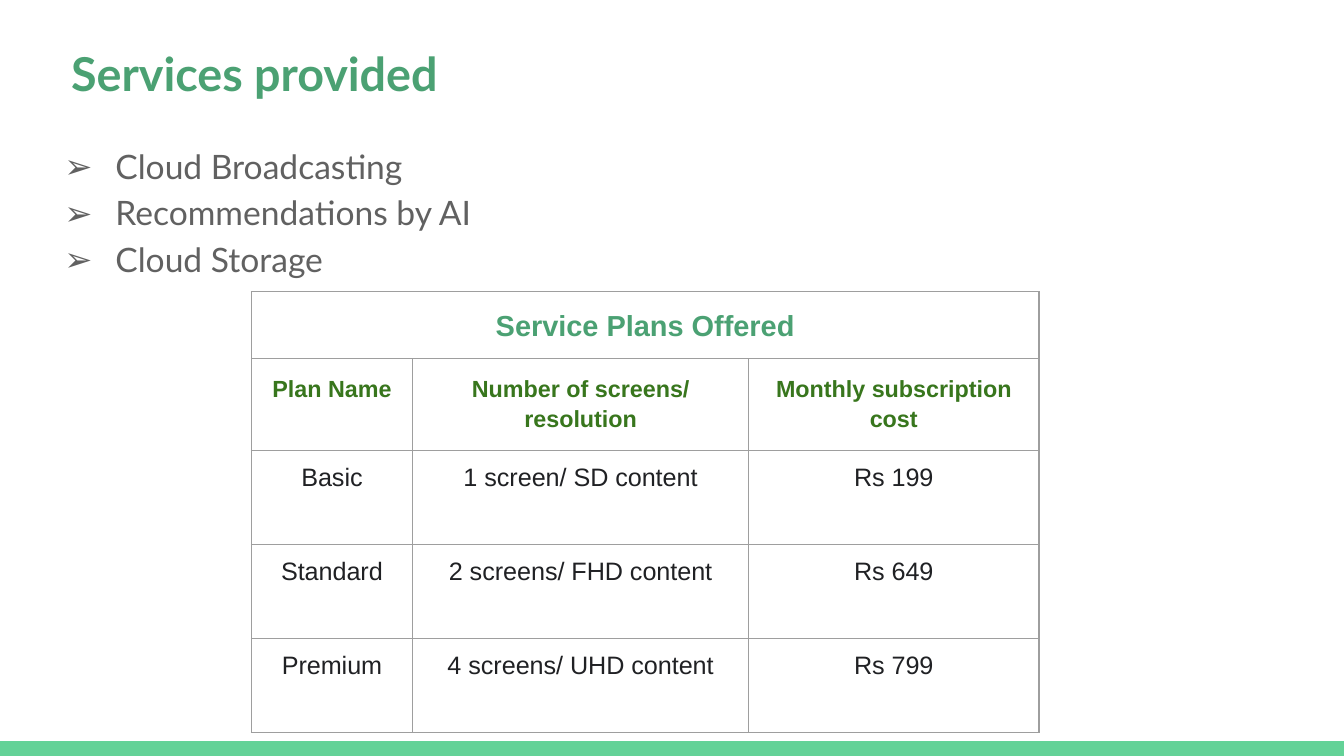
"""Build the slide of services and subscription plans."""
from lxml import etree
from pptx import Presentation, util as u
from pptx.dml.color import RGBColor
from pptx.enum import shapes, text
from pptx.oxml import ns

TITLE = "Services provided"
SERVICES = ["Cloud Broadcasting", "Recommendations by AI", "Cloud Storage"]
PLANS = [
    ["Service Plans Offered", "", ""],
    ["Plan Name", "Number of screens/ resolution", "Monthly subscription cost"],
    ["Basic", "1 screen/ SD content", "Rs 199"],
    ["Standard", "2 screens/ FHD content", "Rs 649"],
    ["Premium", "4 screens/ UHD content", "Rs 799"],
]
COLUMN_WIDTHS = [1.2, 2.5, 2.16]
ROW_HEIGHTS = [0.5, 0.67, 0.7, 0.7, 0.7]
SLIDE_WIDTH = u.Inches(10)
SLIDE_HEIGHT = SLIDE_WIDTH * 9 // 16
THEME = {
    "bar": "63D297",
    "border": "9E9E9E",
    "title": {"name": "Lato", "size": 25, "color": "4BA173", "bold": True},
    "service": {"name": "Lato", "size": 18, "color": "616161", "bold": False},
    "caption": {"name": "Arial", "size": 15.5, "color": "4BA173", "bold": True},
    "header": {"name": "Arial", "size": 12.5, "color": "38761D", "bold": True},
    "plan": {"name": "Arial", "size": 13.5, "color": "202124", "bold": False},
}
MARGINS = {f"margin_{side}": u.Inches(0.1) for side in ("left", "top", "right", "bottom")}
FRAME = {"word_wrap": True, "vertical_anchor": text.MSO_ANCHOR.TOP, **MARGINS}


def assign(target, values):
    for name, value in values.items():
        setattr(target, name, value)


def write(paragraph, words, style, **layout):
    assign(paragraph, layout)
    run = paragraph.add_run()
    run.text = words
    look = THEME[style]
    assign(run.font, {"name": look["name"], "size": u.Pt(look["size"]), "bold": look["bold"]})
    run.font.color.rgb = RGBColor.from_string(look["color"])


def add_child(parent, tag, **attributes):
    child = etree.SubElement(parent, ns.qn(tag))
    for name, value in attributes.items():
        child.set(name, value)
    return child


def add_bullet(paragraph):
    properties = paragraph._p.get_or_add_pPr()
    properties.set("marL", str(u.Inches(0.5)))
    properties.set("indent", str(u.Inches(-0.38)))
    color = add_child(properties, "a:buClr")
    add_child(color, "a:srgbClr", val=THEME["service"]["color"])
    add_child(properties, "a:buFont", typeface=THEME["service"]["name"])
    add_child(properties, "a:buChar", char="➢")


def add_borders(cell):
    properties = cell._tc.get_or_add_tcPr()
    for index, side in enumerate("LRTB"):
        line = add_child(properties, f"a:ln{side}", w=str(u.Pt(0.75)))
        add_child(add_child(line, "a:solidFill"), "a:srgbClr", val=THEME["border"])
        properties.insert(index, line)


def add_title(slide):
    title = slide.shapes.title
    assign(title, {"left": u.Inches(0.43), "top": u.Inches(0.23),
                   "width": u.Inches(9.32), "height": u.Inches(0.63)})
    assign(title.text_frame, FRAME)
    write(title.text_frame.paragraphs[0], TITLE, "title", alignment=text.PP_ALIGN.LEFT)


def add_services(slide):
    box = slide.shapes.add_textbox(*map(u.Inches, (0.26, 0.94, 9.32, 3.74)))
    frame = box.text_frame
    assign(frame, FRAME)
    for index, service in enumerate(SERVICES):
        paragraph = frame.add_paragraph() if index else frame.paragraphs[0]
        write(paragraph, service, "service", line_spacing=1.15)
        add_bullet(paragraph)


def add_plans(slide):
    size = sum(COLUMN_WIDTHS), sum(ROW_HEIGHTS)
    table = slide.shapes.add_table(len(PLANS), len(COLUMN_WIDTHS),
                                   *map(u.Inches, (1.87, 2.17, *size))).table
    assign(table, {"first_row": False, "horz_banding": False})
    for column, width in zip(table.columns, COLUMN_WIDTHS):
        column.width = u.Inches(width)
    for row, height in zip(table.rows, ROW_HEIGHTS):
        row.height = u.Inches(height)
    table.cell(0, 0).merge(table.cell(0, len(COLUMN_WIDTHS) - 1))
    styles = ["caption", "header"] + ["plan"] * (len(PLANS) - 2)
    for row, values, style in zip(table.rows, PLANS, styles):
        spacing = 1.0 if style == "plan" else 1.15
        for cell, words in zip(row.cells, values):
            assign(cell, MARGINS)
            cell.fill.background()
            add_borders(cell)
            if words:
                write(cell.text_frame.paragraphs[0], words, style,
                      alignment=text.PP_ALIGN.CENTER, line_spacing=spacing)


def add_bar(slide):
    height = u.Inches(0.11)
    bar = slide.shapes.add_shape(shapes.MSO_SHAPE.RECTANGLE,
                                 0, SLIDE_HEIGHT - height, SLIDE_WIDTH, height)
    bar.shadow.inherit = False
    bar.fill.solid()
    bar.fill.fore_color.rgb = RGBColor.from_string(THEME["bar"])
    bar.line.fill.background()


def main():
    presentation = Presentation()
    assign(presentation, {"slide_width": SLIDE_WIDTH, "slide_height": SLIDE_HEIGHT})
    slide = presentation.slides.add_slide(presentation.slide_layouts[5])
    for add_part in (add_bar, add_title, add_services, add_plans):
        add_part(slide)
    presentation.save("out.pptx")


if __name__ == "__main__":
    main()
